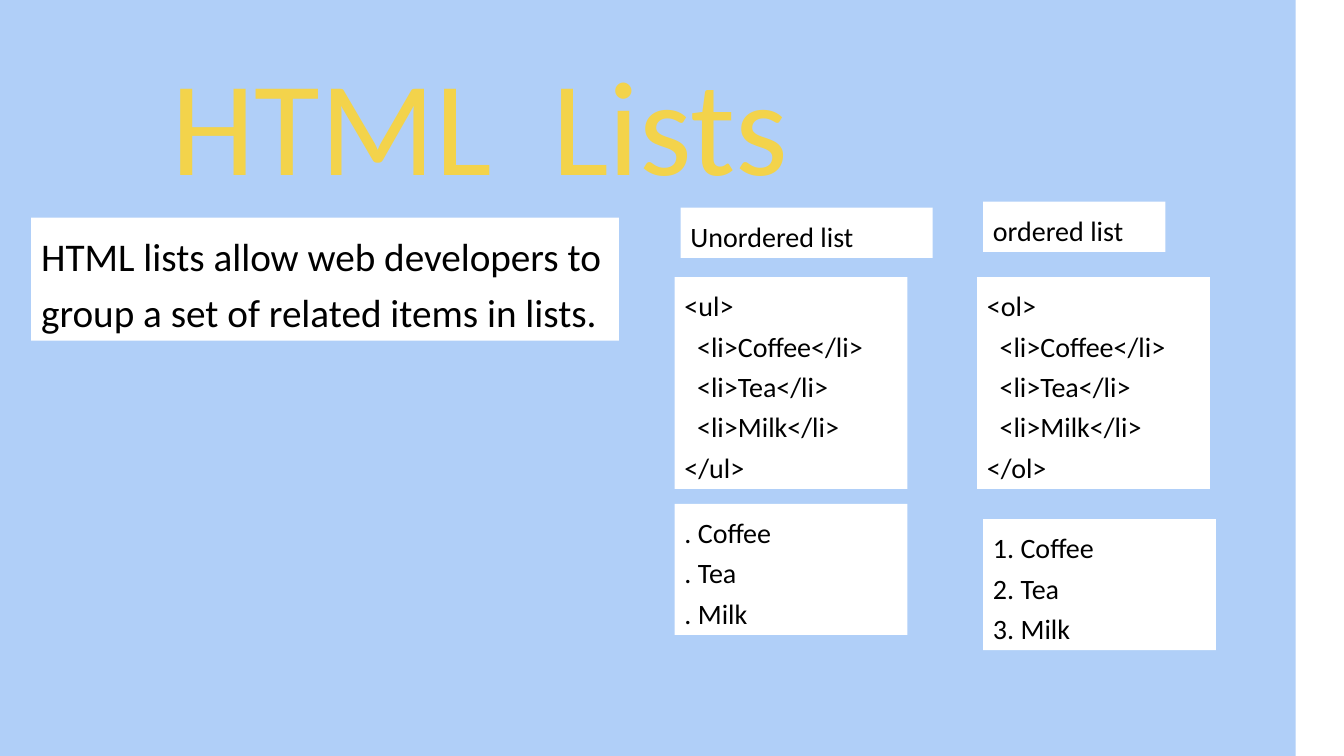
import pptx
import pptx.util
import pptx.dml.color
import pptx.enum.shapes
import pptx.enum.text
from pptx.util import Inches

THEME = {
    "font": "Calibri",
    "sky": "B0CFF8", "gold": "F3D34B", "card": "FFFFFF", "ink": "000000",
    "title": 96, "lead": 28, "body": 20,
    "leading": 1.2,
}

SIZE = (13.33, 7.5)
SHIFT = -0.48  # the backdrop sits left of the slide edge

TITLE = ("HTML  Lists", (1.6, 0.36, 6.4, 1.7))
LEAD = ("HTML lists allow web developers to group a set of related items in lists.",
        (0.31, 2.16, 5.83, 1.22))

DRINKS = ["Coffee", "Tea", "Milk"]
CODE_TOP = 2.75
CARD_WIDTH = 2.31
CODE_HEIGHT, RESULT_HEIGHT = 2.1, 1.3

LISTS = [
    {"tag": "ul", "left": 6.69, "marks": [".", ".", "."],
     "head": ("Unordered list", (6.75, 2.06, 2.5, 0.5)), "result": (6.69, 5)},
    {"tag": "ol", "left": 9.69, "marks": ["1.", "2.", "3."],
     "head": ("ordered list", (9.75, 2, 1.81, 0.5)), "result": (9.75, 5.15)},
]


def color(name):
    return pptx.dml.color.RGBColor.from_string(THEME[name])


def add_rect(slide, box, fill):
    shape = slide.shapes.add_shape(
        pptx.enum.shapes.MSO_SHAPE.RECTANGLE, *map(Inches, box))
    shape.shadow.inherit = False
    shape.fill.solid()
    shape.fill.fore_color.rgb = color(fill)
    shape.line.fill.background()
    return shape


def write(shape, text, size, ink, leading=None):
    frame = shape.text_frame
    frame.text = text
    frame.word_wrap = True
    frame.auto_size = pptx.enum.text.MSO_AUTO_SIZE.SHAPE_TO_FIT_TEXT
    frame.vertical_anchor = pptx.enum.text.MSO_ANCHOR.TOP
    for para in frame.paragraphs:
        para.alignment = pptx.enum.text.PP_ALIGN.LEFT
        para.line_spacing = leading
        for run in para.runs:
            run.font.name = THEME["font"]
            run.font.size = pptx.util.Pt(THEME[size])
            run.font.color.rgb = color(ink)


def add_card(slide, text, box, size="body"):
    write(add_rect(slide, box, "card"), text, size, "ink", THEME["leading"])


def add_list(slide, item):
    """Add the code, heading and result cards of one kind of list."""
    tag = item["tag"]
    code = [f"<{tag}>", *(f"  <li>{drink}</li>" for drink in DRINKS), f"</{tag}>"]
    result = [f"{mark} {drink}" for mark, drink in zip(item["marks"], DRINKS)]
    add_card(slide, "\n".join(code),
             (item["left"], CODE_TOP, CARD_WIDTH, CODE_HEIGHT))
    add_card(slide, *item["head"])
    add_card(slide, "\n".join(result),
             (*item["result"], CARD_WIDTH, RESULT_HEIGHT))


def main():
    deck = pptx.Presentation()
    deck.slide_width, deck.slide_height = map(Inches, SIZE)
    slide = deck.slides.add_slide(deck.slide_layouts[6])

    add_rect(slide, (SHIFT, 0, *SIZE), "sky")
    text, box = TITLE
    title = slide.shapes.add_textbox(*map(Inches, box))
    write(title, text, "title", "gold")
    add_card(slide, *LEAD, size="lead")
    for item in LISTS:
        add_list(slide, item)

    deck.save("out.pptx")


if __name__ == "__main__":
    main()
